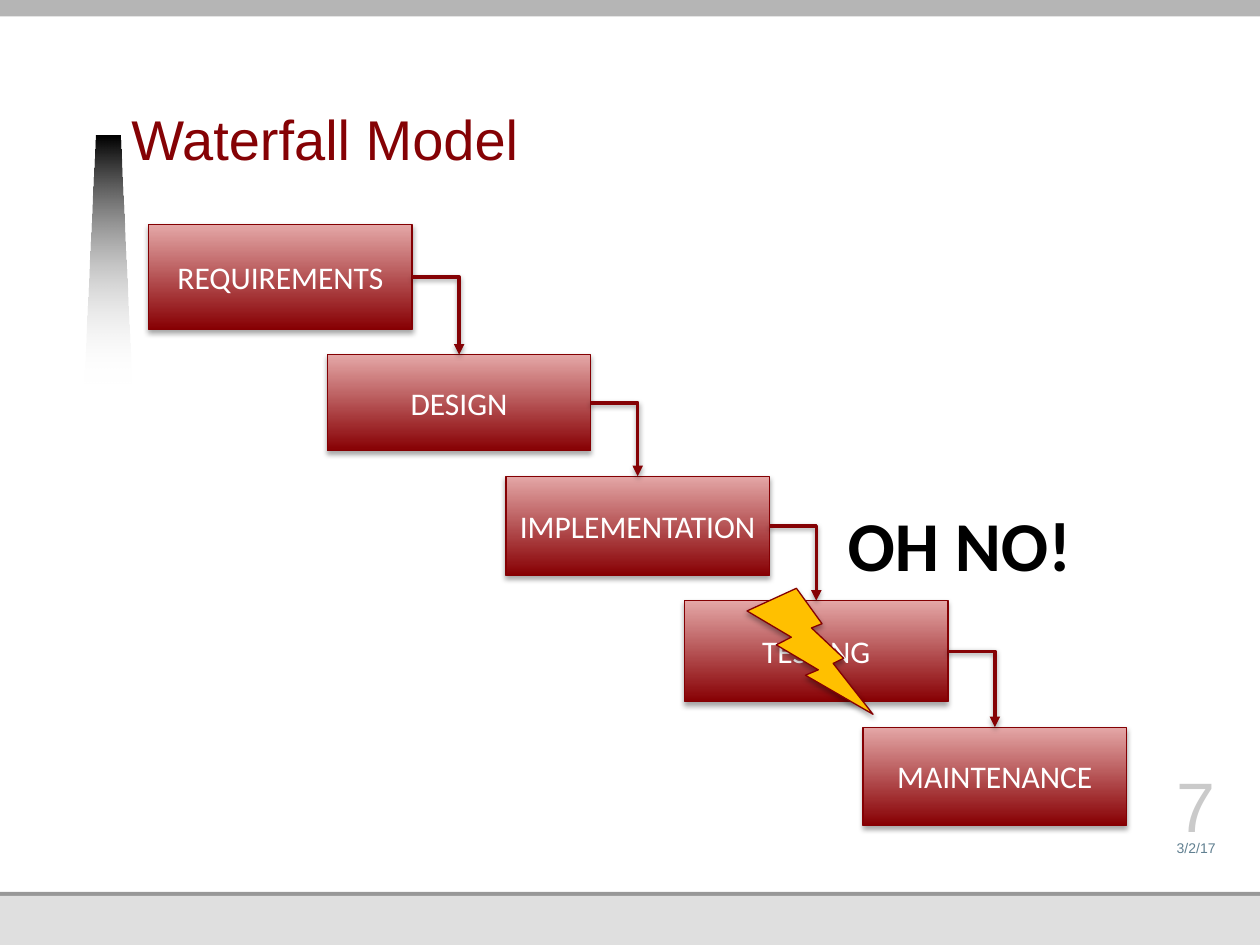
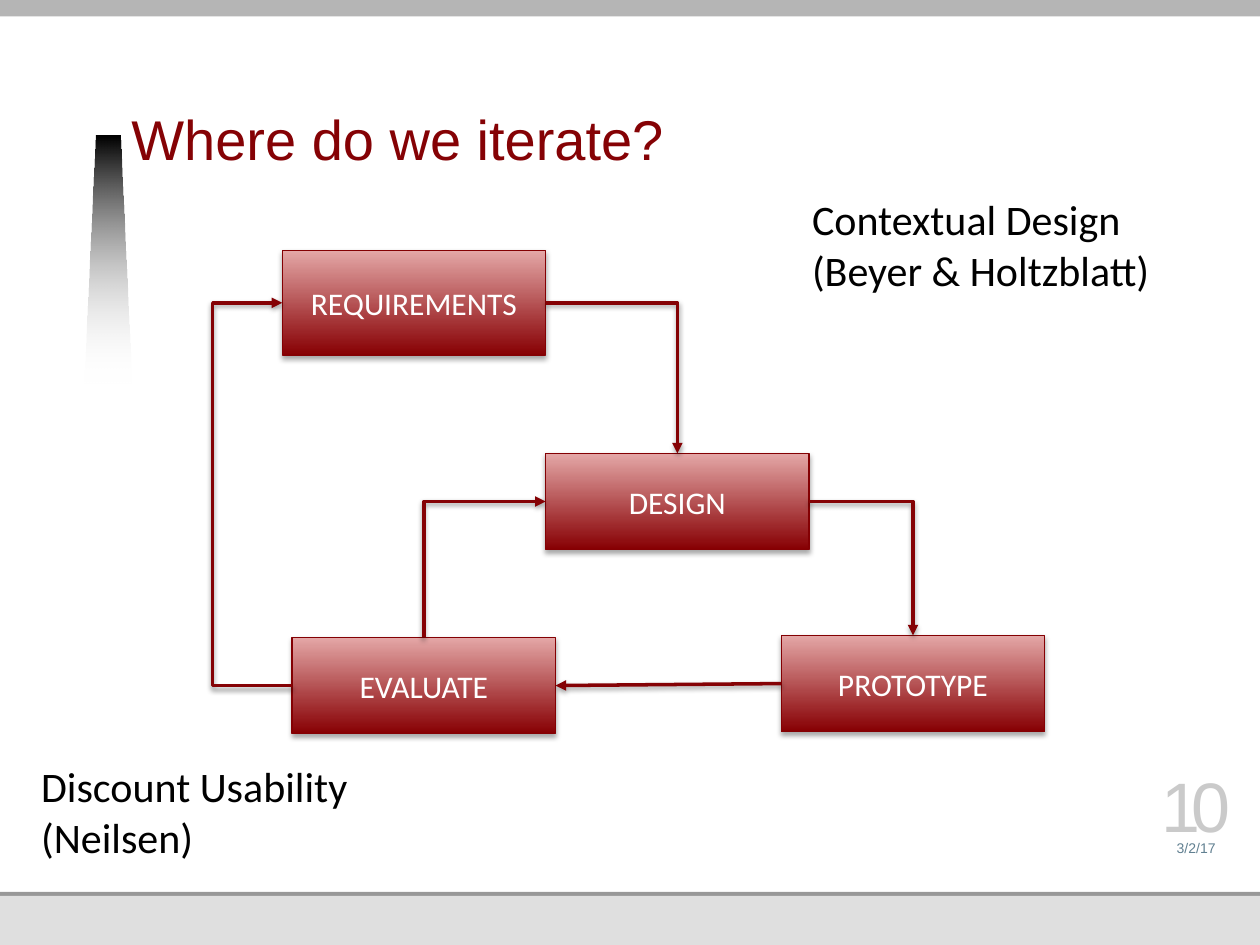
from itertools import pairwise

from lxml.etree import SubElement
from pptx import Presentation
from pptx.dml.color import RGBColor
from pptx.enum.shapes import MSO_CONNECTOR, MSO_SHAPE
from pptx.enum.text import MSO_ANCHOR, MSO_AUTO_SIZE, PP_ALIGN
from pptx.oxml.ns import qn
from pptx.util import Cm, Pt

WIDE, HIGH = 25.4, 19.05
RED, EDGE, DEEP, PINK = "850205", "840003", "870003", "E4A7A7"
BOX_W = 5.31
TOP, LEFT, RIGHT = 0, 1, 3  # connection sites of a rectangle


def color(code):
    return RGBColor.from_string(code)


def write(shape, text, size=18, font="Calibri", ink="000000", bold=False,
          align=PP_ALIGN.LEFT, anchor=MSO_ANCHOR.TOP, lead=None, track=None):
    frame = shape.text_frame
    frame.vertical_anchor = anchor
    for i, line in enumerate(text.split("\n")):
        para = frame.add_paragraph() if i else frame.paragraphs[0]
        para.alignment = align
        if lead:
            para.line_spacing = Pt(lead)
        run = para.add_run()
        run.text = line
        run.font.size, run.font.name, run.font.bold = Pt(size), font, bold
        run.font.color.rgb = color(ink)
        if track:
            run.font._element.set("spc", str(track * 100))


def label(slide, text, left, top, width, height, base=0, **form):
    """Text with no side insets that sits on the bottom of its box."""
    box = slide.shapes.add_textbox(Cm(left), Cm(top), Cm(width), Cm(height))
    frame = box.text_frame
    frame.word_wrap = True
    frame.margin_left = frame.margin_right = frame.margin_top = 0
    frame.margin_bottom = Cm(base)
    write(box, text, font="Arial", anchor=MSO_ANCHOR.BOTTOM, **form)


def note(slide, text, left, top, width, height, **form):
    """Free text that does not wrap."""
    box = slide.shapes.add_textbox(Cm(left), Cm(top), Cm(width), Cm(height))
    box.text_frame.word_wrap = False
    box.text_frame.auto_size = MSO_AUTO_SIZE.SHAPE_TO_FIT_TEXT
    write(box, text, **form)


def blend(shape, first, last, angle):
    shape.fill.gradient()
    shape.fill.gradient_angle = angle
    for stop, code in zip(shape.fill.gradient_stops, (first, last)):
        stop.color.rgb = color(code)


def shade(props, alpha, dist):
    """Soft shadow straight below."""
    effects = props.find(qn("a:effectLst"))
    if effects is None:
        effects = SubElement(props, qn("a:effectLst"))
    cast = SubElement(effects, qn("a:outerShdw"), blurRad=str(Pt(3.1)),
                      dist=str(Pt(dist)), dir="5400000", rotWithShape="0")
    tint = SubElement(cast, qn("a:srgbClr"), val="000000")
    SubElement(tint, qn("a:alpha"), val=str(alpha * 1000))


def band(slide, top, height, code):
    bar = slide.shapes.add_shape(MSO_SHAPE.RECTANGLE, 0, Cm(top), Cm(WIDE), Cm(height))
    bar.shadow.inherit = False
    bar.fill.solid()
    bar.fill.fore_color.rgb = color(code)
    bar.line.fill.background()


def figure(slide, kind, left, top, width, height):
    """Outlined shape with a shadow."""
    shape = slide.shapes.add_shape(kind, Cm(left), Cm(top), Cm(width), Cm(height))
    shape.line.color.rgb = color(EDGE)
    shape.line.width = Pt(0.75)
    shape.shadow.inherit = False
    shade(shape._element.spPr, 35, 1.8)
    return shape


def step(slide, text, left, top, height):
    box = figure(slide, MSO_SHAPE.RECTANGLE, left, top, BOX_W, height)
    blend(box, DEEP, PINK, 90)
    write(box, text, ink="FFFFFF", align=PP_ALIGN.CENTER, anchor=MSO_ANCHOR.MIDDLE)
    return box


def link(slide, start, out, goal, into, bent=True, tip="tailEnd", turn=None):
    """Arrow between two boxes; turn is the x of the far side of a loop."""
    kind = MSO_CONNECTOR.ELBOW if bent else MSO_CONNECTOR.STRAIGHT
    line = slide.shapes.add_connector(kind, 0, 0, 0, 0)
    line.begin_connect(start, out)
    line.end_connect(goal, into)
    line.line.color.rgb = color(RED)
    line.line.width = Pt(2)
    props = line._element.spPr
    SubElement(props.find(qn("a:ln")), qn(f"a:{tip}"), type="triangle")
    shade(props, 38, 1.6)
    shape = props.find(qn("a:prstGeom"))
    if turn is not None:
        part = (line.begin_x - Cm(turn)) / (line.begin_x - line.end_x)
        SubElement(shape.find(qn("a:avLst")), qn("a:gd"),
                   name="adj1", fmla=f"val {round(part * 100000)}")
    elif bent:
        shape.set("prst", "bentConnector2")


def beam(slide, left, top, width, height):
    """Fading wedge beside the title."""
    pen = slide.shapes.build_freeform(Cm(left), Cm(top + height), scale=1.0)
    pen.add_line_segments([
        (Cm(left + 0.24 * width), Cm(top)),
        (Cm(left + 0.76 * width), Cm(top)),
        (Cm(left + width), Cm(top + height)),
    ], close=True)
    wedge = pen.convert_to_shape()
    wedge.shadow.inherit = False
    wedge.line.fill.background()
    blend(wedge, "000000", "FFFFFF", 270)
    fade = wedge._element.spPr.findall(".//" + qn("a:srgbClr"))[-1]
    SubElement(fade, qn("a:alpha"), val="0")


def page(deck, title, number):
    """Slide with the shared bands, title, date and number."""
    slide = deck.slides.add_slide(deck.slide_layouts[6])
    band(slide, 0, 0.33, "B5B5B5")
    band(slide, 17.98, 0.08, "989898")
    band(slide, 18.06, HIGH - 18.06, "DFDFDF")
    beam(slide, 1.7, 2.74, 0.95, 5)
    label(slide, title, 2.65, 0.86, 17.45, 2.74, base=0.13, size=32, ink=RED, lead=34)
    label(slide, "3/2/17", 23.19, 16.71, 1.85, 0.56, size=8, ink="618091",
          align=PP_ALIGN.CENTER)
    label(slide, number, 23.19, 15.65, 1.85, 1.42, size=40, ink="CACACA",
          align=PP_ALIGN.CENTER, track=-5)
    return slide


def cascade(slide, left, top):
    """Five steps down to the right, with trouble at the fourth."""
    stages = [("REQUIREMENTS", 2.11), ("DESIGN", 1.94), ("IMPLEMENTATION", 2),
              ("TESTING", 2.04), ("MAINTENANCE", 1.98)]
    boxes, down = [], top
    for i, (name, height) in enumerate(stages):
        boxes.append(step(slide, name, left + 3.6 * i, down, height))
        down += height + 0.51
    for upper, lower in pairwise(boxes):
        link(slide, upper, RIGHT, lower, TOP)

    # Trouble in testing
    bolt = figure(slide, MSO_SHAPE.LIGHTNING_BOLT, left + 12.06, top + 7.33, 2.54, 2.54)
    bolt.fill.solid()
    bolt.fill.fore_color.rgb = color("FFC000")
    note(slide, "OH NO!", left + 13.84, top + 5.45, 5.05, 1.96, size=40, bold=True)


def cycle(slide, left, top):
    """Four steps with two ways back."""
    need = step(slide, "REQUIREMENTS", left + 1.4, top, 2.11)
    design = step(slide, "DESIGN", left + 6.71, top + 4.09, 1.94)
    model = step(slide, "PROTOTYPE", left + 11.46, top + 7.76, 1.94)
    check = step(slide, "EVALUATE", left + 1.6, top + 7.8, 1.94)
    link(slide, need, RIGHT, design, TOP)
    link(slide, design, RIGHT, model, TOP)
    link(slide, model, LEFT, check, RIGHT, bent=False)
    link(slide, design, LEFT, check, TOP, tip="headEnd")
    link(slide, check, LEFT, need, LEFT, turn=left)

    # Methods
    note(slide, "Contextual Design\n(Beyer & Holtzblatt)", left + 11.83, top - 1.27,
         7.39, 2.31, size=24)
    note(slide, "Discount Usability\n(Neilsen)", left - 3.71, top + 10.16,
         6.73, 2.31, size=24)


def main():
    deck = Presentation()
    deck.slide_width, deck.slide_height = Cm(WIDE), Cm(HIGH)
    cascade(page(deck, "Waterfall Model", "7"), 3, 4.53)
    cycle(page(deck, "Where do we iterate?", "10"), 4.29, 5.05)
    deck.save("out.pptx")


if __name__ == "__main__":
    main()
